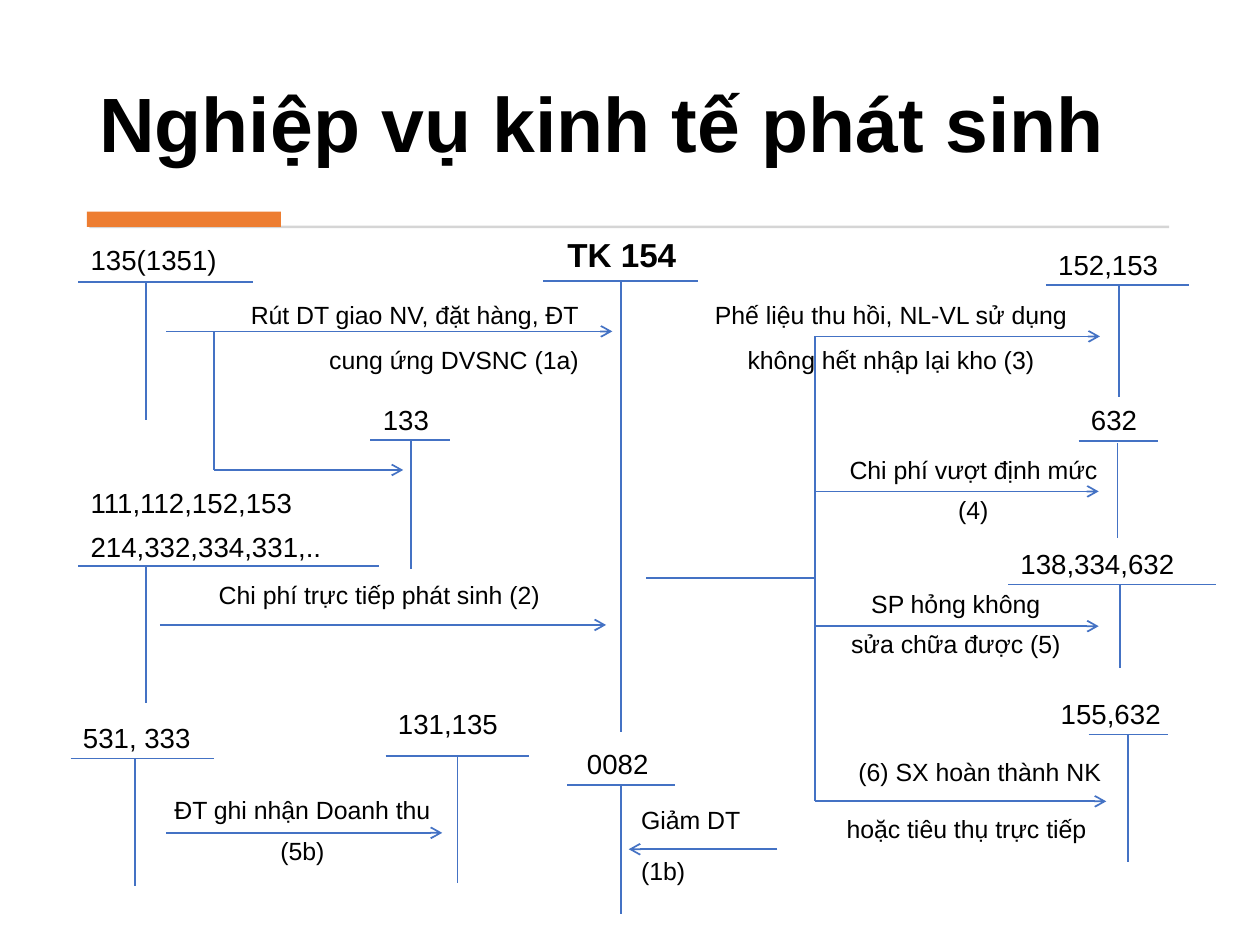
from dataclasses import dataclass

from lxml.etree import SubElement
from pptx import Presentation
from pptx.dml.color import RGBColor
from pptx.enum.shapes import MSO_CONNECTOR, MSO_SHAPE
from pptx.enum.text import MSO_ANCHOR, PP_ALIGN
from pptx.oxml.ns import qn
from pptx.util import Inches, Pt


@dataclass(frozen=True)
class Theme:
    font: str = "Arial"
    ink: RGBColor = RGBColor(0, 0, 0)
    line: RGBColor = RGBColor(0x44, 0x72, 0xC4)
    rule: RGBColor = RGBColor(0xD5, 0xD5, 0xD5)
    accent: RGBColor = RGBColor(0xED, 0x7D, 0x31)
    title: float = 44
    head: float = 19
    code: float = 15.8
    note: float = 14.2


THEME = Theme()
LEFT, MID, RIGHT = PP_ALIGN.LEFT, PP_ALIGN.CENTER, PP_ALIGN.RIGHT

# Label lines, label box, bar (left, right, y), stem (x, top, bottom)
ACCOUNTS = [
    (["135(1351)"], (0.62, 1.88, 1.41, 0.4), (0.62, 2.01, 2.24), (1.16, 2.24, 3.33)),
    (["133"], (2.94, 3.15, 0.64, 0.4), (2.94, 3.57, 3.49), (3.26, 3.5, 4.52)),
    (["111,112,152,153", "214,332,334,331,.."], (0.62, 3.81, 2.39, 0.7),
     (0.62, 3.01, 4.49), (1.16, 4.49, 5.58)),
    (["531, 333"], (0.56, 5.67, 1.06, 0.37), (0.56, 1.7, 6.02), (1.07, 6.02, 7.03)),
    (["131,135"], (3.06, 5.56, 1.16, 0.4), (3.06, 4.2, 6), (3.63, 6, 7.01)),
    (["0082"], (4.56, 5.88, 0.85, 0.4), (4.5, 5.36, 6.23), (4.93, 6.23, 7.25)),
    (["152,153"], (8.3, 1.92, 1.16, 0.4), (8.3, 9.44, 2.26), (8.88, 2.27, 3.15)),
    (["632"], (8.56, 3.15, 0.64, 0.4), (8.56, 9.19, 3.5), (8.87, 3.52, 4.27)),
    (["138,334,632"], (8, 4.29, 1.68, 0.4), (8, 9.65, 4.64), (8.89, 4.64, 5.3)),
    (["155,632"], (8.32, 5.48, 1.16, 0.4), (8.64, 9.27, 5.83), (8.95, 5.83, 6.84)),
]

# Lines, box, alignment, line spacing
NOTES = [
    (["Rút DT giao NV, đặt hàng, ĐT\vcung ứng DVSNC (1a)"],
     (1.4, 2.21, 3.29, 0.77), RIGHT, 1.5),
    (["Phế liệu thu hồi, NL-VL sử dụng không hết nhập lại kho (3)"],
     (5.3, 2.21, 3.54, 0.77), MID, 1.5),
    (["Chi phí trực tiếp phát sinh (2)"], (1.16, 4.55, 3.7, 0.37), MID, 1),
    (["Chi phí vượt định mức", "(4)"], (6.47, 3.56, 2.51, 0.66), MID, 1),
    (["SP hỏng không", "sửa chữa được (5)"], (6.59, 4.62, 1.99, 0.66), MID, 1),
    (["(6) SX hoàn thành NK"], (6.59, 5.96, 2.37, 0.34), MID, 1),
    (["hoặc tiêu thụ trực tiếp"], (6.52, 6.41, 2.3, 0.34), MID, 1),
    (["ĐT ghi nhận Doanh thu", "(5b)"], (1.22, 6.26, 2.36, 0.66), MID, 1),
    (["Giảm DT"], (4.99, 6.34, 1.31, 0.37), LEFT, 1),
    (["(1b)"], (4.99, 6.74, 1.31, 0.37), LEFT, 1),
]

# Start x, end x, y
ARROWS = [
    (1.32, 4.86, 2.63), (1.7, 3.2, 3.73), (1.27, 4.81, 4.96),
    (1.32, 3.51, 6.61), (6.17, 4.99, 6.74),
    (6.47, 8.73, 2.67), (6.47, 8.72, 3.9), (6.47, 8.72, 4.97),
    (6.47, 8.78, 6.36),
]

# Branches that join the arrows: x1, y1, x2, y2
LINKS = [
    (1.7, 2.63, 1.7, 3.73),
    (6.47, 2.67, 6.47, 6.36),
    (5.13, 4.59, 6.47, 4.59),
]


def add_text(slide, lines, box, size, align=LEFT, bold=False, space=1,
             after=6, wrap=True, anchor=MSO_ANCHOR.TOP):
    frame = slide.shapes.add_textbox(*map(Inches, box)).text_frame
    frame.word_wrap = wrap
    frame.vertical_anchor = anchor
    for i, line in enumerate(lines):
        para = frame.paragraphs[0] if i == 0 else frame.add_paragraph()
        para.text = line
        para.alignment = align
        para.line_spacing = space
        para.space_after = Pt(after)
        font = para.font
        font.name, font.size, font.bold = THEME.font, Pt(size), bold
        font.color.rgb = THEME.ink


def add_line(slide, x1, y1, x2, y2, arrow=False):
    line = slide.shapes.add_connector(
        MSO_CONNECTOR.STRAIGHT, *map(Inches, (x1, y1, x2, y2)))
    line.line.color.rgb = THEME.line
    line.line.width = Pt(1)
    if arrow:
        SubElement(line.line._get_or_add_ln(), qn("a:tailEnd"), type="arrow")
    SubElement(line._element.spPr, qn("a:effectLst"))


def add_bar(slide, box, color):
    bar = slide.shapes.add_shape(MSO_SHAPE.RECTANGLE, *map(Inches, box))
    bar.shadow.inherit = False
    bar.fill.solid()
    bar.fill.fore_color.rgb = color
    bar.line.fill.background()


def add_tee(slide, bar, stem):
    """Draw the T of a ledger account."""
    left, right, y = bar
    x, top, base = stem
    add_line(slide, left, y, right, y)
    add_line(slide, x, top, x, base)


def main():
    deck = Presentation()
    deck.slide_width, deck.slide_height = Inches(10), Inches(7.5)
    slide = deck.slides.add_slide(deck.slide_layouts[6])

    add_text(slide, ["Nghiệp vụ kinh tế phát sinh"], (0.69, 0.28, 8.62, 1.11),
             THEME.title, bold=True, space=0.9, after=0,
             anchor=MSO_ANCHOR.BOTTOM)
    add_bar(slide, (0.71, 1.79, 8.57, 0.02), THEME.rule)
    add_bar(slide, (0.69, 1.68, 1.54, 0.12), THEME.accent)

    add_text(slide, ["TK 154"], (4.4, 1.81, 1.07, 0.42), THEME.head, MID,
             bold=True, wrap=False)
    add_tee(slide, (4.31, 5.54, 2.23), (4.93, 2.24, 5.81))

    for lines, box, bar, stem in ACCOUNTS:
        add_text(slide, lines, box, THEME.code)
        add_tee(slide, bar, stem)
    for link in LINKS:
        add_line(slide, *link)
    for start, end, y in ARROWS:
        add_line(slide, start, y, end, y, arrow=True)
    for lines, box, align, space in NOTES:
        add_text(slide, lines, box, THEME.note, align, space=space)

    deck.save("out.pptx")


if __name__ == "__main__":
    main()
